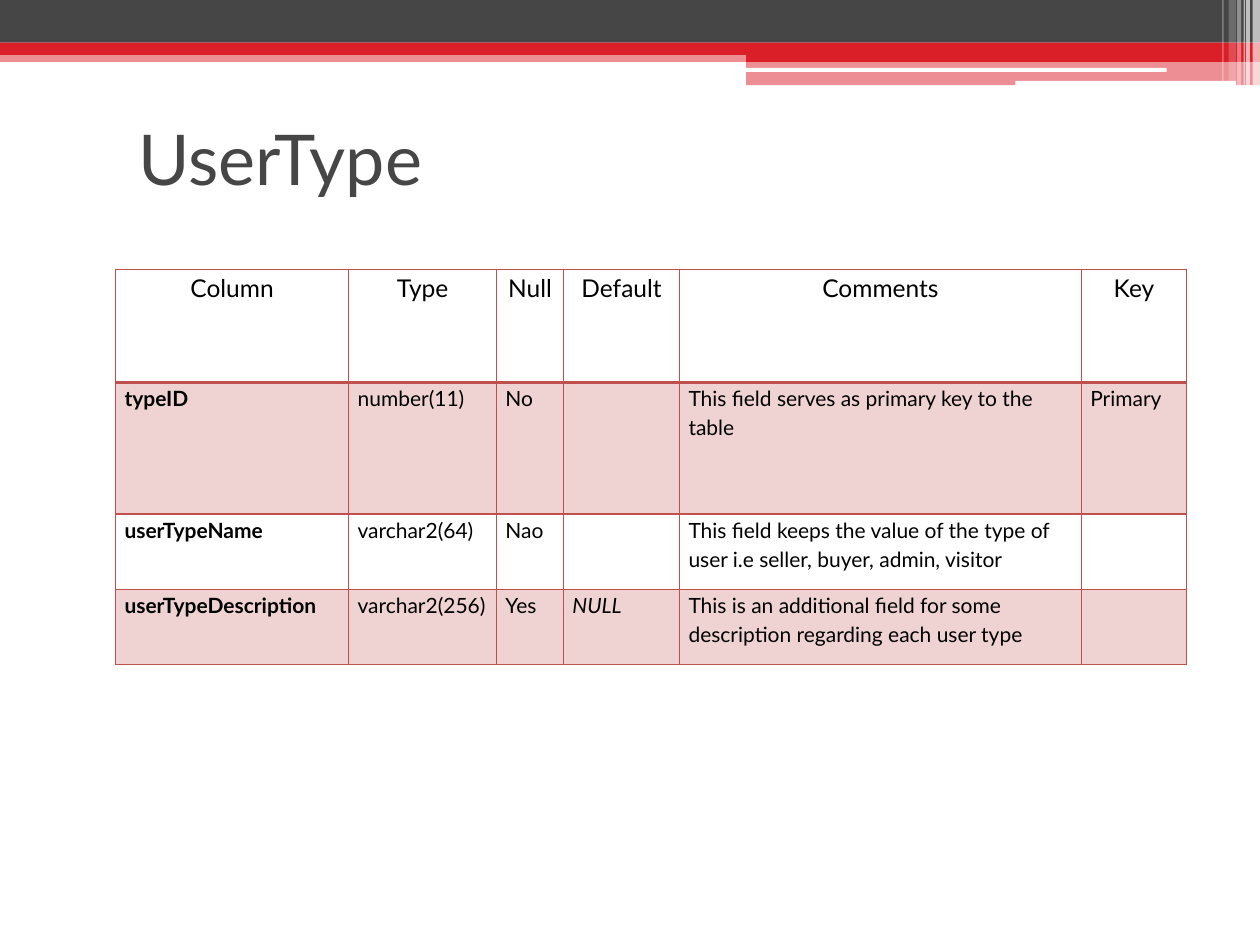
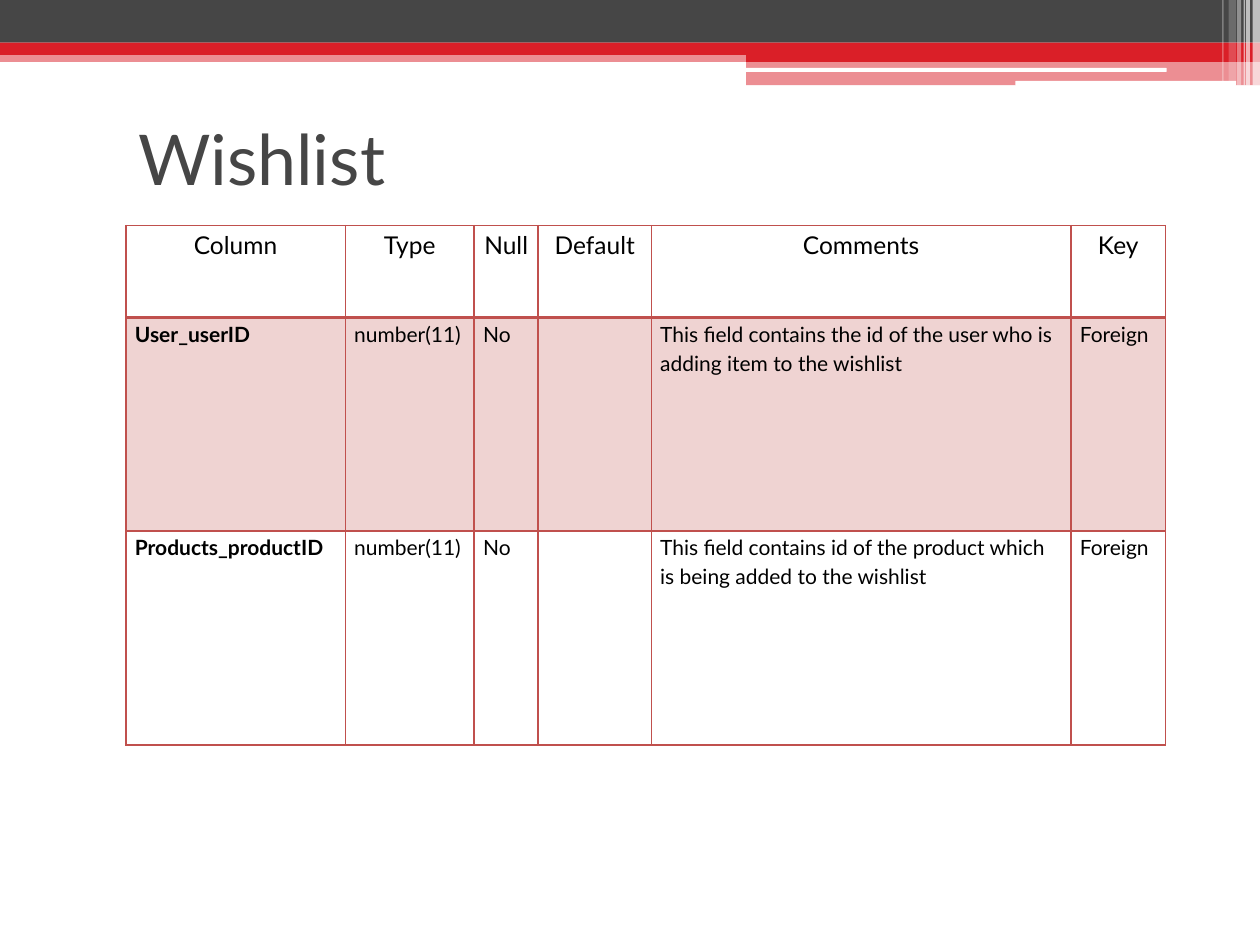
from lxml.etree import SubElement
from pptx import Presentation
from pptx.dml.color import RGBColor
from pptx.enum.shapes import MSO_SHAPE as Preset
from pptx.enum.text import MSO_ANCHOR as Anchor, PP_ALIGN as Align
from pptx.oxml.ns import qn
from pptx.util import Cm, Pt

CHARCOAL = RGBColor(0x46, 0x46, 0x46)
RED = RGBColor(0xDA, 0x1F, 0x28)
WHITE = RGBColor(0xFF, 0xFF, 0xFF)
BLACK = RGBColor(0x00, 0x00, 0x00)
BRICK = RGBColor(0xC0, 0x50, 0x4D)
BLUSH = RGBColor(0xEF, 0xD3, 0xD2)

FONT = "Lato"
TITLE_STYLE = {"name": FONT, "size": Pt(40), "color": CHARCOAL}
HEADER_STYLE = {"name": FONT, "size": Pt(14), "color": BLACK, "bold": False}
BODY_STYLE = {"name": FONT, "size": Pt(12), "color": BLACK}

PAGE_WIDTH, PAGE_HEIGHT = 25.4, 19.05
STEP_LEFT = 15.04
STEP_WIDTH = PAGE_WIDTH - STEP_LEFT

# left, top, width, height in cm, colour, opacity in percent
BANDS = [
    (0, 1.02, PAGE_WIDTH, 0.23, RED, 50),
    (0, 0, PAGE_WIDTH, 0.86, CHARCOAL, 100),
    (0, 0.86, PAGE_WIDTH, 0.25, RED, 100),
    (STEP_LEFT, 0.99, STEP_WIDTH, 0.26, RED, 100),
    (STEP_LEFT, 1.24, STEP_WIDTH, 0.48, RED, 50),
]
ROUNDED_BARS = [(15.01, 1.37, 8.51, 0.08), (20.47, 1.63, 4.45, 0.1)]
# left, width, height in cm, opacity in percent
STRIPES = [
    (25.25, 0.15, 1.73, 65),
    (25.12, 0.08, 1.73, 65),
    (25.07, 0.03, 1.73, 60),
    (24.94, 0.08, 1.73, 40),
    (24.77, 0.15, 1.63, 20),
    (24.64, 0.03, 1.63, 30),
]

HEADERS = ["Column", "Type", "Null", "Default", "Comments", "Key"]
TABLES = [
    {
        "title": "UserType",
        "corner": (2.33, 5.43),
        "widths": [4.7, 2.98, 1.35, 2.34, 8.1, 2.12],
        "heights": [2.28, 2.65, 1.52, 1.52],
        "fields": [
            ["typeID", "number(11)", "No", "",
             "This field serves as primary key to the table", "Primary"],
            ["userTypeName", "varchar2(64)", "Nao", "",
             "This field keeps the value of the type of user i.e seller, buyer, admin, visitor", ""],
            ["userTypeDescription", "varchar2(256)", "Yes", "NULL",
             "This is an additional field for some description regarding each user type", ""],
        ],
    },
    {
        "title": "Wishlist",
        "corner": (2.54, 4.55),
        "widths": [4.42, 2.6, 1.29, 2.28, 8.46, 1.91],
        "heights": [1.85, 4.31, 4.31],
        "fields": [
            ["User_userID", "number(11)", "No", "",
             "This field contains the id of the user who is adding item to the wishlist", "Foreign"],
            ["Products_productID", "number(11)", "No", "",
             "This field contains id of the product which is being added to the wishlist", "Foreign"],
        ],
    },
]


class SchemaDeck:
    def __init__(self):
        self.deck = Presentation()
        self.deck.slide_width = Cm(PAGE_WIDTH)
        self.deck.slide_height = Cm(PAGE_HEIGHT)
        self.page = None

    def new_page(self):
        self.page = self.deck.slides.add_slide(self.deck.slide_layouts[6])
        for left, top, width, height, color, opacity in BANDS:
            self.bar(left, top, width, height, color, opacity)
        for place in ROUNDED_BARS:
            self.bar(*place, WHITE, preset=Preset.ROUNDED_RECTANGLE)
        for left, width, height, opacity in STRIPES:
            self.bar(left, 0, width, height, WHITE, opacity)

    def bar(self, left, top, width, height, color, opacity=100, preset=Preset.RECTANGLE):
        shape = self.page.shapes.add_shape(preset, Cm(left), Cm(top), Cm(width), Cm(height))
        shape.shadow.inherit = False
        shape.line.fill.background()
        shape.fill.solid()
        shape.fill.fore_color.rgb = color
        if opacity < 100:
            fill_color = shape.element.spPr.find(qn("a:solidFill"))[0]
            SubElement(fill_color, qn("a:alpha"), val=str(opacity * 1000))

    def add_span(self, para, text, style):
        span = para.add_run()
        span.text = text
        for name, value in style.items():
            if name == "color":
                span.font.color.rgb = value
            else:
                setattr(span.font, name, value)

    def title(self, text):
        box = self.page.shapes.add_textbox(Cm(2.54), Cm(1.7), Cm(22.86), Cm(2.97))
        frame = box.text_frame
        frame.word_wrap = True
        frame.vertical_anchor = Anchor.MIDDLE
        self.add_span(frame.paragraphs[0], text, TITLE_STYLE)

    def table(self, corner, widths, heights, fields):
        left, top = corner
        rows = [HEADERS, *fields]
        table = self.page.shapes.add_table(
            len(rows), len(HEADERS), Cm(left), Cm(top), Cm(sum(widths)), Cm(sum(heights))
        ).table
        table.first_row = table.horz_banding = False
        for column, width in zip(table.columns, widths):
            column.width = Cm(width)
        for row, height in zip(table.rows, heights):
            row.height = Cm(height)
        for row_index, texts in enumerate(rows):
            for column_index, text in enumerate(texts):
                self.cell(table.cell(row_index, column_index), text, row_index, column_index)

    def cell(self, cell, text, row_index, column_index):
        margins = {"margin_left": 0.18, "margin_right": 0.18, "margin_top": 0, "margin_bottom": 0}
        for name, value in margins.items():
            setattr(cell, name, Cm(value))
        self.borders(cell, row_index)
        if row_index % 2:
            cell.fill.solid()
            cell.fill.fore_color.rgb = BLUSH
        else:
            cell.fill.background()
        if not text:
            return
        para = cell.text_frame.paragraphs[0]
        para.line_spacing = 1.15
        if row_index == 0:
            para.alignment = Align.CENTER
            style = HEADER_STYLE
        else:
            style = BODY_STYLE | {"bold": column_index == 0, "italic": text == "NULL"}
        self.add_span(para, text, style)

    def borders(self, cell, row_index):
        """Thin lines all round, with a heavy rule between header and body."""
        thin, heavy = Pt(1), Pt(2.25)
        sides = {
            "a:lnL": thin,
            "a:lnR": thin,
            "a:lnT": heavy if row_index == 1 else thin,
            "a:lnB": heavy if row_index == 0 else thin,
        }
        properties = cell._tc.get_or_add_tcPr()
        for tag, width in sides.items():
            line = SubElement(properties, qn(tag), w=str(int(width)))
            fill = SubElement(line, qn("a:solidFill"))
            SubElement(fill, qn("a:srgbClr"), val=str(BRICK))


def main():
    schema = SchemaDeck()
    for content in TABLES:
        schema.new_page()
        schema.title(content["title"])
        schema.table(content["corner"], content["widths"], content["heights"], content["fields"])
    schema.deck.save("out.pptx")


if __name__ == "__main__":
    main()
